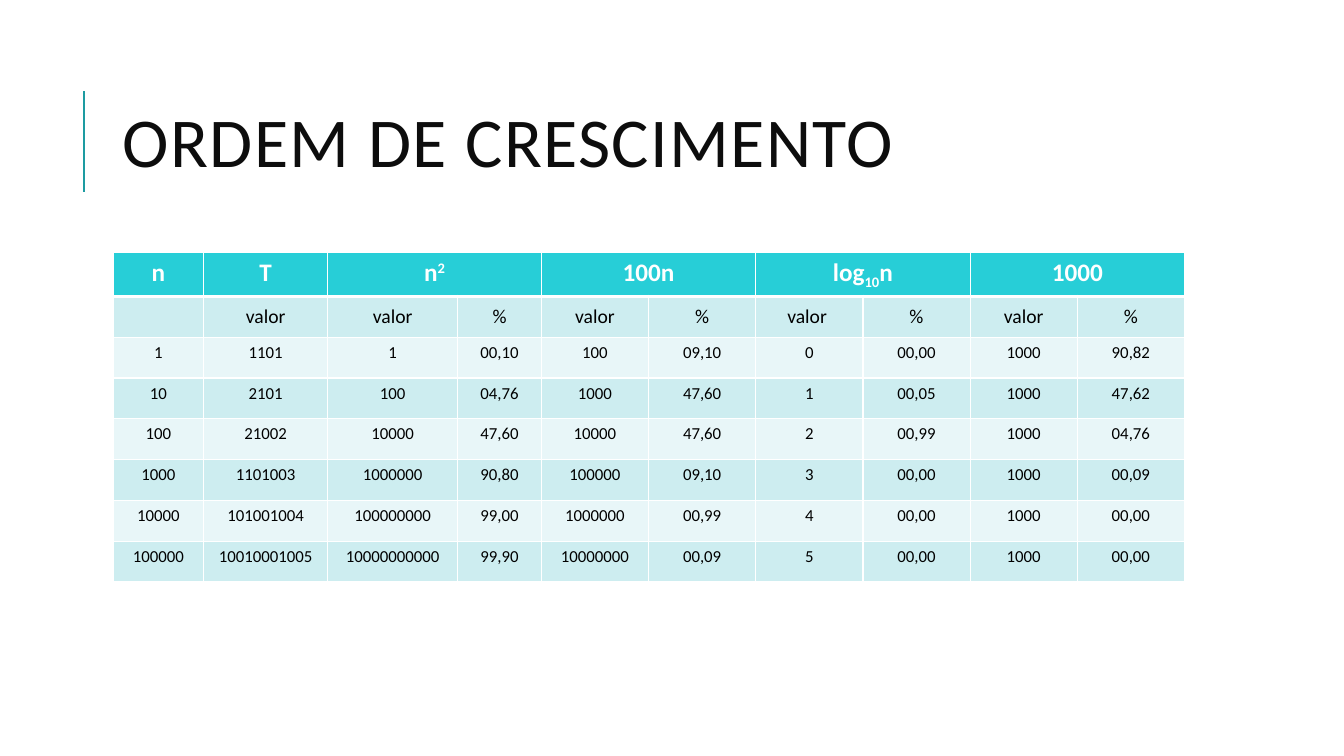
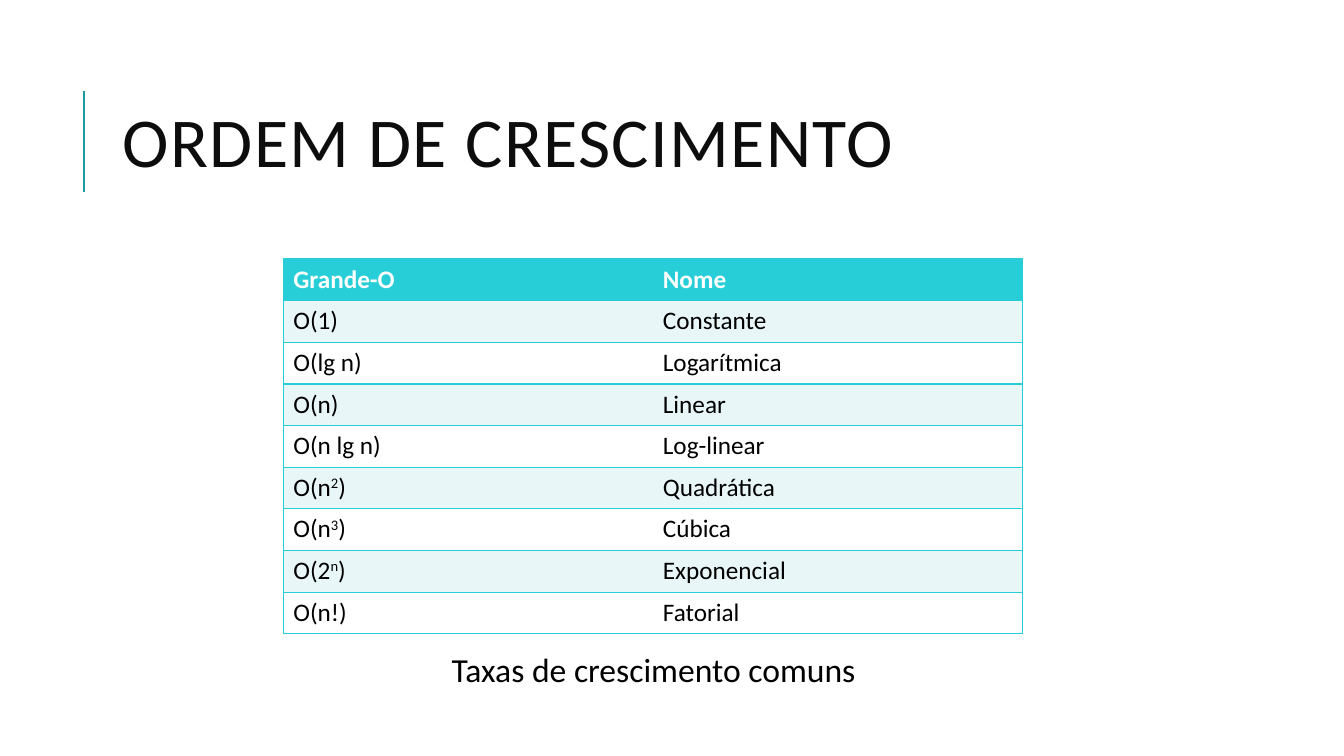
"""Build two slides on the order of growth of algorithms."""
from dataclasses import dataclass
from typing import NamedTuple, Optional, Union

from lxml import etree
from pptx import Presentation
from pptx.dml.color import RGBColor
from pptx.enum import shapes, text
from pptx.oxml.ns import qn
from pptx.util import Inches, Pt


@dataclass(frozen=True)
class Theme:
    font: str = "Calibri"
    accent: str = "27CED7"
    rule: str = "1D9BA1"
    heading: str = "0D0D0D"
    ink: str = "000000"
    white: str = "FFFFFF"
    band: str = "CDEDF0"
    pale_band: str = "E8F6F8"
    title_size: int = 50
    caption_size: int = 24
    table_size: int = 18
    label_size: int = 14
    figure_size: int = 12
    border_width: float = 1
    rule_width: float = 1.5


class Box(NamedTuple):
    left: float
    top: float
    width: float
    height: float

    def lengths(self) -> list:
        return [Inches(side) for side in self]


class Scripted(NamedTuple):
    base: str
    script: str
    rest: str = ""
    baseline: int = 30000


Entry = Union[str, Scripted]


@dataclass(frozen=True)
class TableSpec:
    box: Box
    columns: list[float]
    rows: list[list[Entry]]
    sizes: list[int]
    bands: tuple[str, str]
    border: str
    align: text.PP_ALIGN
    header_rule: float
    inner_verticals: bool
    middle_row: Optional[int] = None
    header_pairs: tuple[int, ...] = ()


THEME = Theme()
TITLE = "ORDEM DE CRESCIMENTO"
TITLE_BOX = Box(1.12, 0.64, 10.63, 1.64)
CAPTION_BOX = Box(4.33, 6.43, 4.21, 0.47)

GROWTH_HEADER = ["n", "T", Scripted("n", "2"), "", "100n", "",
                 Scripted("log", "10", "n", -25000), "", "1000", ""]
GROWTH_LABELS = ["", "valor", "valor", "%", "valor", "%", "valor ", "%", "valor", "%"]
GROWTH_FIGURES = [line.split() for line in (
    "1 1101 1 00,10 100 09,10 0 00,00 1000 90,82",
    "10 2101 100 04,76 1000 47,60 1 00,05 1000 47,62",
    "100 21002 10000 47,60 10000 47,60 2 00,99 1000 04,76",
    "1000 1101003 1000000 90,80 100000 09,10 3 00,00 1000 00,09",
    "10000 101001004 100000000 99,00 1000000 00,99 4 00,00 1000 00,00",
    "100000 10010001005 10000000000 99,90 10000000 00,09 5 00,00 1000 00,00",
)]
RATES = [
    ["Grande-O", "Nome"],
    ["O(1)", "Constante"],
    ["O(lg n)", "Logarítmica"],
    ["O(n)", "Linear"],
    ["O(n lg n)", "Log-linear"],
    [Scripted("O(n", "2", ")"), "Quadrática"],
    [Scripted("O(n", "3", ")"), "Cúbica"],
    [Scripted("O(2", "n", ")"), "Exponencial"],
    ["O(n!)", "Fatorial"],
]

LEADING_COLUMNS = [0.9, 1.23, 1.29, 0.83]
GROWTH_BOX = Box(1.12, 2.5, 10.63, 3.24)
GROWTH = TableSpec(
    box=GROWTH_BOX,
    columns=LEADING_COLUMNS + [(GROWTH_BOX.width - sum(LEADING_COLUMNS)) / 6] * 6,
    rows=[GROWTH_HEADER, GROWTH_LABELS, *GROWTH_FIGURES],
    sizes=[THEME.table_size, THEME.label_size] + [THEME.figure_size] * len(GROWTH_FIGURES),
    bands=(THEME.band, THEME.pale_band),
    border=THEME.white,
    align=text.PP_ALIGN.CENTER,
    header_rule=3,
    inner_verticals=True,
    middle_row=1,
    header_pairs=(2, 4, 6, 8),
)
COMMON_RATES = TableSpec(
    box=Box(2.81, 2.57, 7.33, 3.72),
    columns=[7.33 / 2] * 2,
    rows=RATES,
    sizes=[THEME.table_size] * len(RATES),
    bands=(THEME.pale_band, THEME.white),
    border=THEME.accent,
    align=text.PP_ALIGN.LEFT,
    header_rule=THEME.border_width,
    inner_verticals=False,
)


def style_run(run, size: float, color: str, bold: bool = False) -> None:
    run.font.name = THEME.font
    run.font.size = Pt(size)
    run.font.bold = bold
    run.font.color.rgb = RGBColor.from_string(color)


def write_entry(paragraph, entry: Entry, size: float, color: str, bold: bool) -> None:
    if isinstance(entry, Scripted):
        paragraph.text = entry.base
        script = paragraph.add_run()
        script.text = entry.script
        script.font._element.set("baseline", str(entry.baseline))
        if entry.rest:
            paragraph.add_run().text = entry.rest
    else:
        paragraph.text = entry
    for run in paragraph.runs:
        style_run(run, size, color, bold)
    if not paragraph.runs:
        paragraph.font.size = Pt(size)


def draw_border(cell, side: str, color: str, width: float) -> None:
    line = etree.SubElement(cell._tc.get_or_add_tcPr(), qn(f"a:ln{side}"))
    line.set("w", str(Pt(width)))
    if width:
        fill = etree.SubElement(line, qn("a:solidFill"))
        etree.SubElement(fill, qn("a:srgbClr")).set("val", color)
    else:
        etree.SubElement(line, qn("a:noFill"))


def draw_borders(cell, spec: TableSpec, row: int, column: int) -> None:
    thin = THEME.border_width
    inner = thin if spec.inner_verticals else 0
    widths = {
        "L": thin if column == 0 else inner,
        "R": thin if column == len(spec.columns) - 1 else inner,
        "T": spec.header_rule if row == 1 else thin,
        "B": spec.header_rule if row == 0 else thin,
    }
    for side, width in widths.items():
        draw_border(cell, side, spec.border, width)


def draw_table(slide, spec: TableSpec) -> None:
    table = slide.shapes.add_table(
        len(spec.rows), len(spec.columns), *spec.box.lengths()).table
    table.horz_banding = False
    for column, width in zip(table.columns, spec.columns):
        column.width = Inches(width)
    for row, entries in enumerate(spec.rows):
        header = row == 0
        fill = THEME.accent if header else spec.bands[(row - 1) % 2]
        for column, entry in enumerate(entries):
            cell = table.cell(row, column)
            draw_borders(cell, spec, row, column)
            cell.fill.solid()
            cell.fill.fore_color.rgb = RGBColor.from_string(fill)
            if row == spec.middle_row:
                cell.vertical_anchor = text.MSO_ANCHOR.MIDDLE
            paragraph = cell.text_frame.paragraphs[0]
            paragraph.alignment = spec.align
            write_entry(paragraph, entry, spec.sizes[row],
                        THEME.white if header else THEME.ink, header)
    for column in spec.header_pairs:
        table.cell(0, column).merge(table.cell(0, column + 1))


def draw_text(slide, box: Box, words: str, size: float, color: str, spacing: float):
    frame = slide.shapes.add_textbox(*box.lengths()).text_frame
    frame.word_wrap = True
    frame.text = words
    paragraph = frame.paragraphs[0]
    paragraph.line_spacing = spacing
    style_run(paragraph.runs[0], size, color)
    return frame


def add_titled_slide(deck):
    slide = deck.slides.add_slide(deck.slide_layouts[6])
    rule = slide.shapes.add_connector(
        shapes.MSO_CONNECTOR.STRAIGHT,
        Inches(0.83), Inches(1.9), Inches(0.83), Inches(0.9))
    rule.line.color.rgb = RGBColor.from_string(THEME.rule)
    rule.line.width = Pt(THEME.rule_width)
    etree.SubElement(rule._element.spPr, qn("a:effectLst"))
    title = draw_text(slide, TITLE_BOX, TITLE, THEME.title_size, THEME.heading, 0.8)
    title.vertical_anchor = text.MSO_ANCHOR.MIDDLE
    title.paragraphs[0].runs[0].font._element.set("spc", "100")
    return slide


def draw_caption(slide, words: str) -> None:
    frame = draw_text(slide, CAPTION_BOX, words, THEME.caption_size, THEME.ink, 0.9)
    frame.margin_left = frame.margin_right = Inches(0.05)
    frame.margin_top = frame.margin_bottom = Inches(0.05)
    paragraph = frame.paragraphs[0]
    paragraph.space_before = Pt(12)
    paragraph.space_after = Pt(2)
    paragraph._p.get_or_add_pPr().set("marL", str(Inches(0.1)))


def main() -> None:
    deck = Presentation()
    deck.slide_width = Inches(13.33)
    deck.slide_height = Inches(7.5)
    draw_table(add_titled_slide(deck), GROWTH)
    rates_slide = add_titled_slide(deck)
    draw_caption(rates_slide, "Taxas de crescimento comuns")
    draw_table(rates_slide, COMMON_RATES)
    deck.save("out.pptx")


main()
